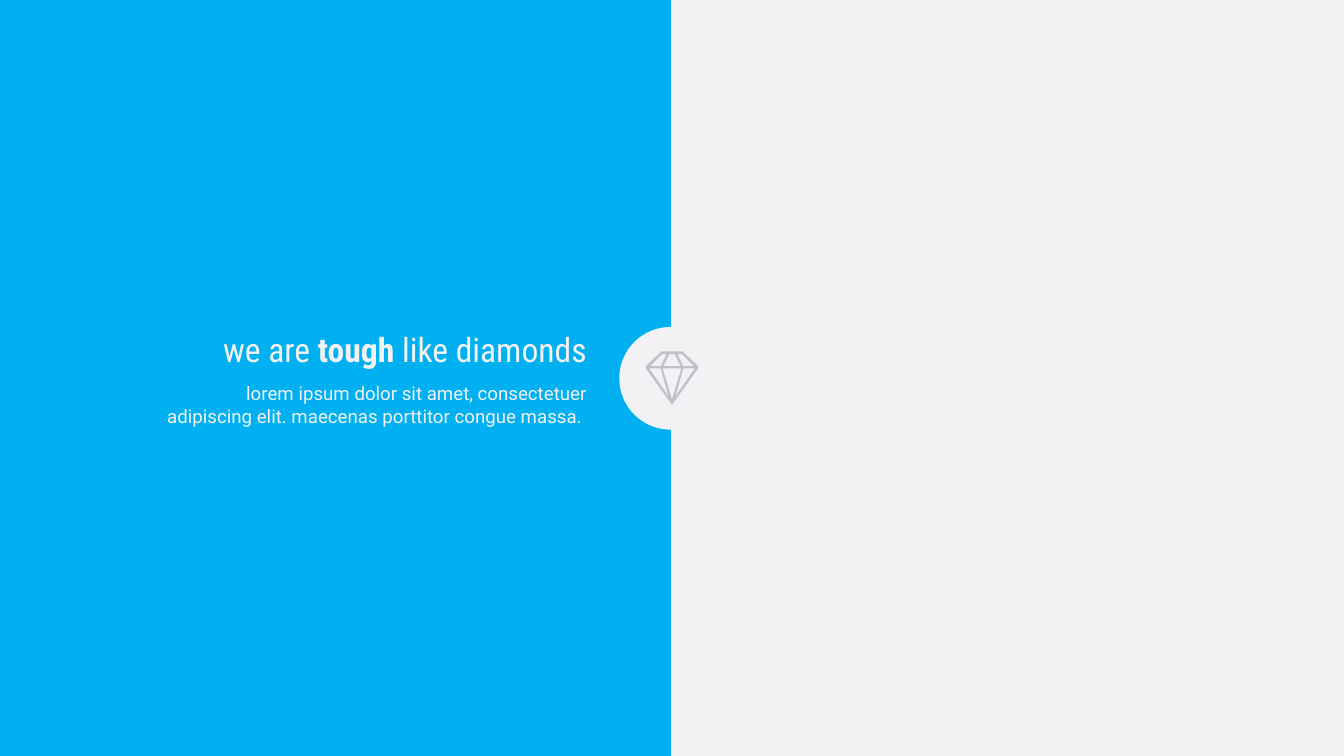
from pptx import Presentation
from pptx import util as u
from pptx.dml.color import RGBColor
from pptx.enum import shapes, text
from pptx.oxml.ns import qn
from lxml import etree

BLUE, PALE, GREY = "00B0F0", "F2F2F5", "C0C0C8"


def colour(value):
    return RGBColor.from_string(value)


def mirror(outline):
    return [(2000 - x, y) for x, y in outline]


class Painter:
    def __init__(self, page, text_colour):
        self.page = page
        self.text_colour = text_colour

    def background(self, fill):
        self.page.background.fill.solid()
        self.page.background.fill.fore_color.rgb = colour(fill)

    def paint(self, shape, fill, line=None, weight=0):
        shape.shadow.inherit = False
        shape.fill.solid()
        shape.fill.fore_color.rgb = colour(fill)
        if line:
            shape.line.color.rgb = colour(line)
            shape.line.width = u.Pt(weight)
        else:
            shape.line.fill.background()

    def shape(self, kind, area, fill, line=None, weight=0):
        shape = self.page.shapes.add_shape(kind, *map(u.Inches, area))
        self.paint(shape, fill, line, weight)

    def line(self, ends, stroke, weight):
        line = self.page.shapes.add_connector(
            shapes.MSO_CONNECTOR.STRAIGHT, *map(u.Inches, ends))
        line.line.color.rgb = colour(stroke)
        line.line.width = u.Pt(weight)
        etree.SubElement(line._element.spPr, qn("a:effectLst"))

    def text(self, area, spans, font, size):
        box = self.page.shapes.add_textbox(*map(u.Inches, area))
        box.text_frame.word_wrap = True
        box.text_frame.auto_size = text.MSO_AUTO_SIZE.SHAPE_TO_FIT_TEXT
        para = box.text_frame.paragraphs[0]
        para.alignment = text.PP_ALIGN.RIGHT
        for words, bold in spans:
            span = para.add_run()
            span.text = words
            span.font.name = font
            span.font.size = u.Pt(size)
            span.font.bold = bold
            span.font.color.rgb = colour(self.text_colour)

    def outlines(self, outlines, fill):
        first, *others = outlines
        builder = self.page.shapes.build_freeform(*first[0], scale=u.Inches(0.01))
        builder.add_line_segments(first[1:], close=True)
        for outline in others:
            builder.move_to(*outline[0])
            builder.add_line_segments(outline[1:], close=True)
        self.paint(builder.convert_to_shape(), fill)


def main():
    deck = Presentation()
    deck.slide_width = u.Inches(20)
    deck.slide_height = u.Inches(11.25)
    page = deck.slides.add_slide(deck.slide_layouts[6])
    painter = Painter(page, PALE)

    painter.background(PALE)
    painter.shape(shapes.MSO_SHAPE.RECTANGLE, (0, 0, 10, 11.25), BLUE)
    painter.line((10, 0, 10, 11.25), PALE, 3)
    painter.shape(shapes.MSO_SHAPE.OVAL, (9.23, 4.88, 1.5, 1.5), PALE, PALE, 2)

    painter.text(
        (2.21, 4.84, 6.62, 0.71),
        [("we are ", False), ("tough", True), (" like diamonds", False)],
        "Roboto Condensed", 36)
    painter.text(
        (2.27, 5.64, 6.56, 0.77),
        [("lorem ipsum dolor sit amet, consectetuer adipiscing elit. "
          "maecenas porttitor congue massa. ", False)],
        "Roboto", 20)

    right_edge = [(1016, 523), (1017, 524), (1039, 545), (1039, 548),
                  (1001, 601), (1000, 602)]
    rim = right_edge + mirror(right_edge)[::-1]
    crown = [(1004, 527), (1013, 545), (987, 545), (996, 527)]
    pavilion = [(1000, 594), (986, 548), (1014, 548)]
    right_crown = [(1015, 527), (1033, 545), (1017, 545), (1008, 527)]
    right_pavilion = [(1005, 590), (1017, 548), (1034, 548)]
    sides = [right_crown, right_pavilion]
    painter.outlines(
        [rim, crown, pavilion, *sides, *map(mirror, sides)], GREY)

    deck.save("out.pptx")


if __name__ == "__main__":
    main()
